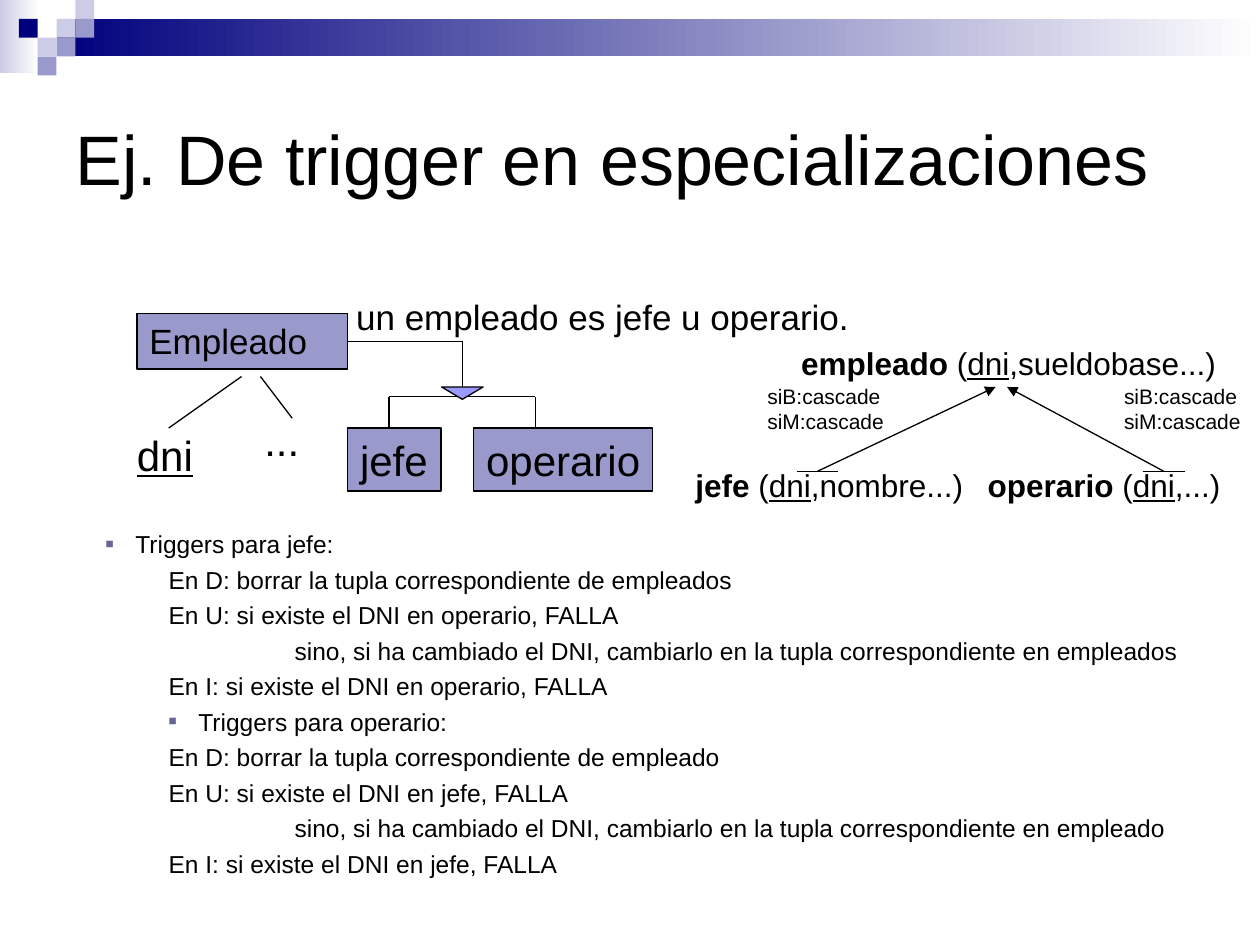
from lxml import etree
from pptx import Presentation
from pptx.dml.color import RGBColor
from pptx.enum.shapes import MSO_CONNECTOR, MSO_SHAPE
from pptx.enum.text import MSO_ANCHOR, MSO_AUTO_SIZE, PP_ALIGN
from pptx.oxml.ns import qn
from pptx.util import Cm, Pt

STRAIGHT = MSO_CONNECTOR.STRAIGHT
RECTANGLE = MSO_SHAPE.RECTANGLE
TRIANGLE = MSO_SHAPE.ISOSCELES_TRIANGLE
LEFT = PP_ALIGN.LEFT
TOP, MIDDLE = MSO_ANCHOR.TOP, MSO_ANCHOR.MIDDLE
GROW = MSO_AUTO_SIZE.SHAPE_TO_FIT_TEXT
TITLE_ONLY = 5

BLACK, WHITE, NAVY = "000000", "FFFFFF", "00007D"
LAVENDER, PALE, ARROW_FILL, BULLET = "9999CC", "CCCCE6", "9999FF", "666699"
RIGHT_SIDE = 3


def color(hex_string):
    return RGBColor.from_string(hex_string)


def write(frame, paragraphs, size, anchor=TOP, wrap=False, gap=0):
    """Fill a frame; a paragraph is a string or a list of (text, style letters b/u)."""
    frame.word_wrap = wrap
    frame.vertical_anchor = anchor
    for number, content in enumerate(paragraphs):
        paragraph = frame.paragraphs[0] if number == 0 else frame.add_paragraph()
        paragraph.alignment = LEFT
        if number and gap:
            paragraph.space_before = Pt(gap)
        for words, style in [(content, "")] if isinstance(content, str) else content:
            run = paragraph.add_run()
            run.text = words
            run.font.name = "Arial"
            run.font.size = Pt(size)
            run.font.color.rgb = color(BLACK)
            run.font.bold = "b" in style
            run.font.underline = "u" in style


def add_label(slide, left, top, width, height, paragraphs, size, **options):
    box = slide.shapes.add_textbox(Cm(left), Cm(top), Cm(width), Cm(height))
    write(box.text_frame, paragraphs, size, **options)
    box.text_frame.auto_size = GROW
    return box


def add_block(slide, left, top, width, height, fill, kind=RECTANGLE, outlined=False):
    """Add a preset shape; a pair of fill colours gives a left-to-right gradient."""
    block = slide.shapes.add_shape(kind, Cm(left), Cm(top), Cm(width), Cm(height))
    block.shadow.inherit = False
    if isinstance(fill, tuple):
        block.fill.gradient()
        block.fill.gradient_angle = 0
        for stop, shade in zip(block.fill.gradient_stops, fill):
            stop.color.rgb = color(shade)
    else:
        block.fill.solid()
        block.fill.fore_color.rgb = color(fill)
    if outlined:
        block.line.color.rgb = color(BLACK)
        block.line.width = Pt(0.75)
    else:
        block.line.fill.background()
    return block


def add_line(slide, x1, y1, x2, y2, arrow=False):
    line = slide.shapes.add_connector(STRAIGHT, Cm(x1), Cm(y1), Cm(x2), Cm(y2))
    line.line.color.rgb = color(BLACK)
    line.line.width = Pt(0.75)
    properties = line._element.spPr
    if arrow:
        etree.SubElement(properties.find(qn("a:ln")), qn("a:tailEnd"), type="triangle")
    etree.SubElement(properties, qn("a:effectLst"))
    return line


def add_header(slide, left, top, width):
    cell = 0.38
    add_block(slide, left, top, 0.79, 1.47, (PALE, WHITE))
    add_block(slide, left + 3 * cell, top + cell, width - 3 * cell, 2 * cell, (NAVY, WHITE))
    squares = [(3, 1, PALE), (4, 0, PALE), (4, 1, LAVENDER), (2, 2, PALE),
               (1, 1, NAVY), (3, 2, LAVENDER), (2, 3, LAVENDER)]
    for column, row, fill in squares:
        add_block(slide, left + column * cell, top + row * cell, cell, cell, fill)


def set_title(slide, left, top, width, height, words):
    title = slide.shapes.title
    title.left, title.top, title.width, title.height = map(Cm, (left, top, width, height))
    write(title.text_frame, [words], 40, anchor=MIDDLE, wrap=True)


def add_entity(slide, left, top, width, height, name, size):
    entity = add_block(slide, left, top, width, height, LAVENDER, outlined=True)
    write(entity.text_frame, [name], size)
    return entity


def add_entity_diagram(slide, left, top):
    entity_width, entity_height = 4.24, 1.12
    entity_left, entity_top = left + 0.25, top + 0.48
    employee = add_entity(slide, entity_left, entity_top, entity_width, entity_height,
                          "Empleado", 20)
    children_top = top + 2.79
    add_entity(slide, left + 4.5, children_top, 1.88, 1.27, "jefe", 24)
    add_entity(slide, left + 7.04, children_top, 3.61, 1.27, "operario", 24)
    add_label(slide, left, top + 2.69, 1.63, 1.27, [[("dni", "u")]], 24)
    add_label(slide, left + 2.57, top + 2.39, 1.22, 1.27, ["..."], 24)
    add_label(slide, left + 4.42, top, 10.54, 1.12, ["un empleado es jefe u operario."], 20)

    add_line(slide, left + 2.36, top + 1.75, left + 0.89, children_top)
    add_line(slide, left + 2.74, top + 1.75, left + 3.38, top + 2.59)

    fork_x, fork_y = left + 6.81, top + 2.16
    middle = entity_top + entity_height / 2
    link = add_line(slide, entity_left + entity_width, middle, fork_x, middle)
    link.begin_connect(employee, RIGHT_SIDE)
    add_line(slide, fork_x, middle, fork_x, top + 2.03)
    branches = [left + 5.33, left + 8.28]
    add_line(slide, branches[0], fork_y, branches[1], fork_y)
    for branch in branches:
        add_line(slide, branch, fork_y, branch, children_top)
    specialization = add_block(slide, fork_x - 0.42, top + 1.96, 0.84, 0.25, ARROW_FILL,
                               kind=TRIANGLE, outlined=True)
    specialization.rotation = 180


def add_relations(slide, left, top):
    relations = [("empleado", ",sueldobase...)", 2.13, 0, 8.96),
                 ("operario", ",...)", 5.89, 2.46, 5.74),
                 ("jefe", ",nombre...)", 0, 2.46, 6.53)]
    for name, fields, x, y, width in relations:
        signature = [(name, "b"), (" (", ""), ("dni", "u"), (fields, "")]
        # Only the top relation is free to run past its box.
        add_label(slide, left + x, top + y, width, 1.02, [signature], 18, wrap=y > 0)

    key_y = top + 2.69
    for key_x, target_x, actions_x in [(2.71, 6.3, 1.45), (9.69, 6.53, 8.64)]:
        key_x += left
        add_line(slide, key_x - 0.42, key_y, key_x + 0.42, key_y)
        add_line(slide, key_x, key_y, left + target_x, top + 0.99, arrow=True)
        add_label(slide, left + actions_x, top + 0.79, 2.94, 1.27,
                  ["siB:cascade", "siM:cascade"], 12)


def indent(paragraph, margin, bulleted):
    hanging = 0.6 if bulleted else 0
    properties = paragraph._p.get_or_add_pPr()
    properties.set("marL", str(Cm(margin + hanging)))
    properties.set("indent", str(-Cm(hanging)))
    if bulleted:
        shade = etree.SubElement(properties, qn("a:buClr"))
        etree.SubElement(shade, qn("a:srgbClr"), val=BULLET)
        etree.SubElement(properties, qn("a:buSzPct"), val="55000")
        etree.SubElement(properties, qn("a:buFont"), typeface="Arial")
        etree.SubElement(properties, qn("a:buChar"), char="■")


def add_trigger_rules(slide, left, top, width, height):
    rules, margins = [], []
    for table, other, parent, heading_margin in [("jefe", "operario", "empleados", 0),
                                                 ("operario", "jefe", "empleado", 1.27)]:
        rules += [
            f"Triggers para {table}:",
            f"En D: borrar la tupla correspondiente de {parent}",
            f"En U: si existe el DNI en {other}, FALLA",
            "sino, si ha cambiado el DNI, cambiarlo en la tupla "
            f"correspondiente en {parent}",
            f"En I: si existe el DNI en {other}, FALLA",
        ]
        margins += [heading_margin, 1.27, 1.27, 3.81, 1.27]
    box = add_label(slide, left, top, width, height, rules, 14, wrap=True, gap=3.5)
    for paragraph, rule, margin in zip(box.text_frame.paragraphs, rules, margins):
        indent(paragraph, margin, bulleted=rule.startswith("Triggers"))


def main():
    presentation = Presentation()
    presentation.slide_width, presentation.slide_height = Cm(25.4), Cm(19.05)
    slide = presentation.slides.add_slide(presentation.slide_layouts[TITLE_ONLY])
    add_header(slide, 0, 0, 25.4)
    set_title(slide, 1.27, 1.27, 22.86, 3.81, "Ej. De trigger en especializaciones")
    add_entity_diagram(slide, 2.51, 5.84)
    add_relations(slide, 13.77, 6.81)
    add_trigger_rules(slide, 1.88, 10.54, 23.29, 7.29)
    presentation.save("out.pptx")


if __name__ == "__main__":
    main()
